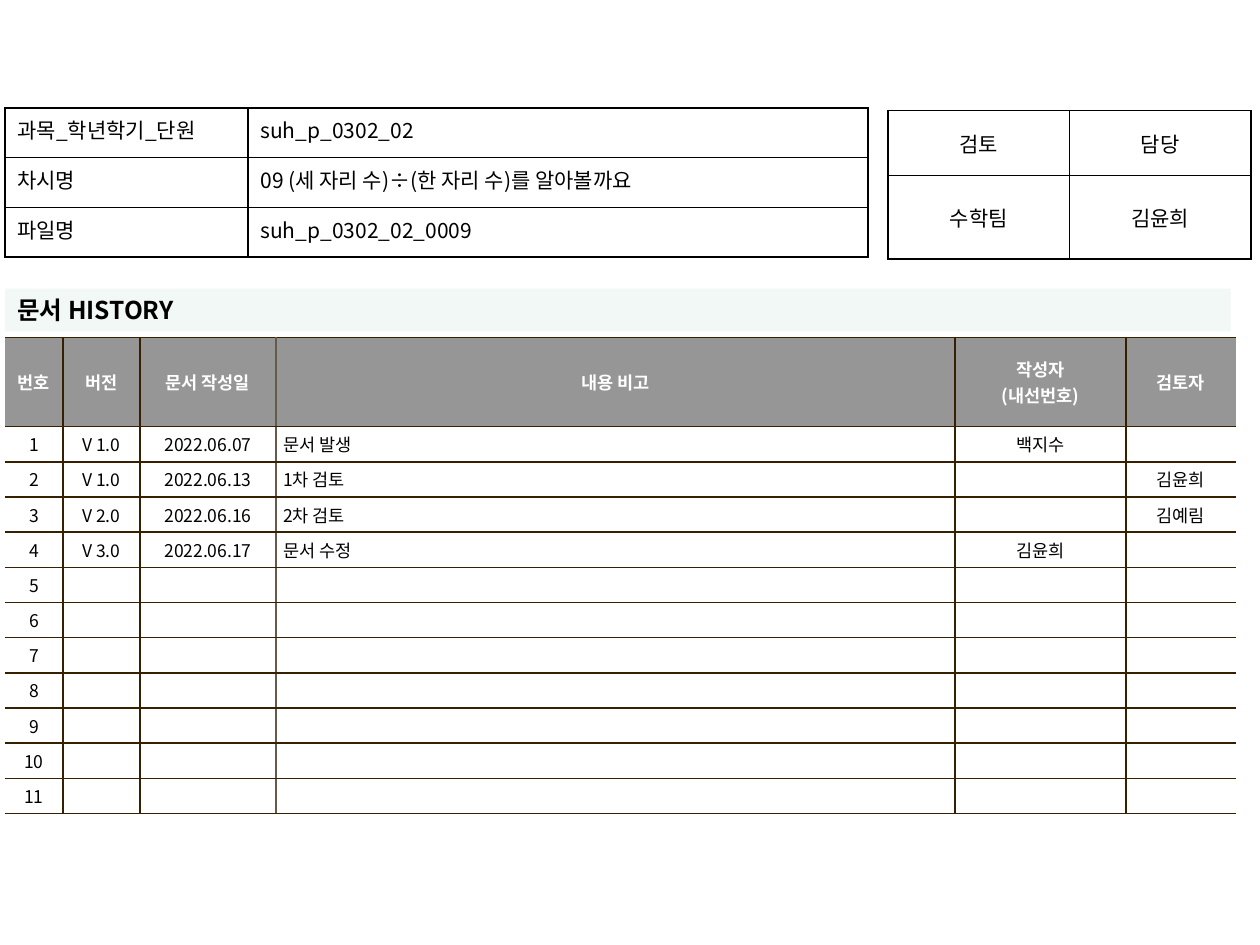
from lxml.etree import SubElement
from pptx import Presentation
from pptx.dml.color import RGBColor
from pptx.enum.shapes import MSO_SHAPE
from pptx.enum.text import MSO_ANCHOR, MSO_AUTO_SIZE, PP_ALIGN
from pptx.oxml.ns import qn
from pptx.util import Cm, Pt

FONT = "Noto Sans CJK KR"
BLACK = RGBColor(0x00, 0x00, 0x00)
WHITE = RGBColor(0xFF, 0xFF, 0xFF)
GRAY = RGBColor(0x96, 0x96, 0x96)
BROWN = RGBColor(0x36, 0x20, 0x00)
TAUPE = RGBColor(0x64, 0x5B, 0x4C)
MINT = RGBColor(0xF1, 0xF8, 0xF5)

LEFT, MID, JUST = PP_ALIGN.LEFT, PP_ALIGN.CENTER, PP_ALIGN.JUSTIFY

TITLE = "문서 HISTORY"
INFO = [
    ("과목_학년학기_단원", "suh_p_0302_02"),
    ("차시명", "09 (세 자리 수)÷(한 자리 수)를 알아볼까요"),
    ("파일명", "suh_p_0302_02_0009"),
]
TEAM = [("검토", "담당"), ("수학팀", "김윤희")]
HEAD = ("번호", "버전", "문서 작성일", "내용 비고", "작성자\n(내선번호)", "검토자")
LOG = [
    ("V 1.0", "2022.06.07", "문서 발생", "백지수", ""),
    ("V 1.0", "2022.06.13", "1차 검토", "", "김윤희"),
    ("V 2.0", "2022.06.16", "2차 검토", "", "김예림"),
    ("V 3.0", "2022.06.17", "문서 수정", "김윤희", ""),
]
COUNT = 11
NOTE = 3


def write(para, text, size, color, bold=False):
    run = para.add_run()
    run.text = text
    font = run.font
    font.name, font.size, font.bold = FONT, Pt(size), bold
    font.color.rgb = color
    SubElement(run._r.get_or_add_rPr(), qn("a:ea"), typeface=FONT)


def border(cell, sides):
    props = cell._tc.get_or_add_tcPr()
    for side, color in zip("LRTB", sides):
        line = SubElement(props, qn("a:ln" + side), w=str(Pt(1)))
        if color is None:
            SubElement(line, qn("a:noFill"))
        else:
            fill = SubElement(line, qn("a:solidFill"))
            SubElement(fill, qn("a:srgbClr"), val=str(color))


def fill_cell(cell, text, size, color, bold, align):
    frame = cell.text_frame
    for i, part in enumerate(text.split("\n")):
        para = frame.add_paragraph() if i else frame.paragraphs[0]
        para.alignment = align
        if part:
            write(para, part, size, color, bold)
        else:
            SubElement(para._p, qn("a:endParaRPr"), sz=str(size * 100))


def grid(slide, spot, cols, rows, data, size, pad, style):
    box = slide.shapes.add_table(
        len(rows), len(cols), Cm(spot[0]), Cm(spot[1]), Cm(sum(cols)), Cm(sum(rows))
    )
    table = box.table
    table.first_row = table.horz_banding = False
    for col, wide in zip(table.columns, cols):
        col.width = Cm(wide)
    for row, high in zip(table.rows, rows):
        row.height = Cm(high)
    for r, line in enumerate(data):
        for c, text in enumerate(line):
            cell = table.cell(r, c)
            sides, back, color, bold, align, anchor = style(r, c)
            cell.margin_left = cell.margin_right = Cm(pad[0])
            cell.margin_top = cell.margin_bottom = Cm(pad[1])
            cell.vertical_anchor = anchor
            border(cell, sides)
            if back is None:
                cell.fill.background()
            else:
                cell.fill.solid()
                cell.fill.fore_color.rgb = back
            fill_cell(cell, text, size, color, bold, align)
    return table


def log_style(r, c):
    edges = [None, BROWN, BROWN, TAUPE, BROWN, BROWN, None]
    sides = (edges[c], edges[c + 1], BROWN, BROWN)
    if r == 0:
        return sides, GRAY, WHITE, True, MID, MSO_ANCHOR.MIDDLE
    align = LEFT if c == NOTE else MID
    return sides, WHITE, BLACK, False, align, MSO_ANCHOR.MIDDLE


def team_style(r, c):
    return [BLACK] * 4, None, BLACK, False, MID, MSO_ANCHOR.MIDDLE


def info_style(r, c):
    return [BLACK] * 4, None, BLACK, False, (JUST, LEFT)[c], MSO_ANCHOR.TOP


def banner(slide):
    bar = slide.shapes.add_shape(
        MSO_SHAPE.RECTANGLE, Cm(0.1), Cm(5.82), Cm(24.71), Cm(0.86)
    )
    bar.shadow.inherit = False
    bar.fill.solid()
    bar.fill.fore_color.rgb = MINT
    bar.line.fill.background()
    frame = bar.text_frame
    frame.word_wrap = True
    frame.auto_size = MSO_AUTO_SIZE.SHAPE_TO_FIT_TEXT
    para = frame.paragraphs[0]
    para.alignment = LEFT
    write(para, TITLE, 14, BLACK, True)


def main():
    deck = Presentation()
    deck.slide_width, deck.slide_height = Cm(25.4), Cm(19.05)
    slide = deck.slides.add_slide(deck.slide_layouts[6])
    blank = ("",) * (len(HEAD) - 1)
    body = LOG + [blank] * (COUNT - len(LOG))
    data = [HEAD] + [(str(i), *line) for i, line in enumerate(body, 1)]
    cols = [1.17, 1.55, 2.74, 13.69, 3.45, 2.21]
    rows = [1.8] + [0.63] * COUNT
    table = grid(slide, (0.1, 6.8), cols, rows, data, 10, (0.15, 0.1), log_style)
    for r in range(1, len(LOG) + 1):
        props = table.cell(r, NOTE).text_frame.paragraphs[0]._p.get_or_add_pPr()
        props.set("marL", str(Cm(0.48)))
        props.set("indent", str(Cm(-0.48)))
    pad = (0.25, 0.13)
    grid(slide, (17.9, 2.23), [3.66] * 2, [1.31, 1.68], TEAM, 12, pad, team_style)
    banner(slide)
    grid(slide, (0.1, 2.18), [4.9, 12.5], [1] * 3, INFO, 12, pad, info_style)
    deck.save("out.pptx")


if __name__ == "__main__":
    main()
